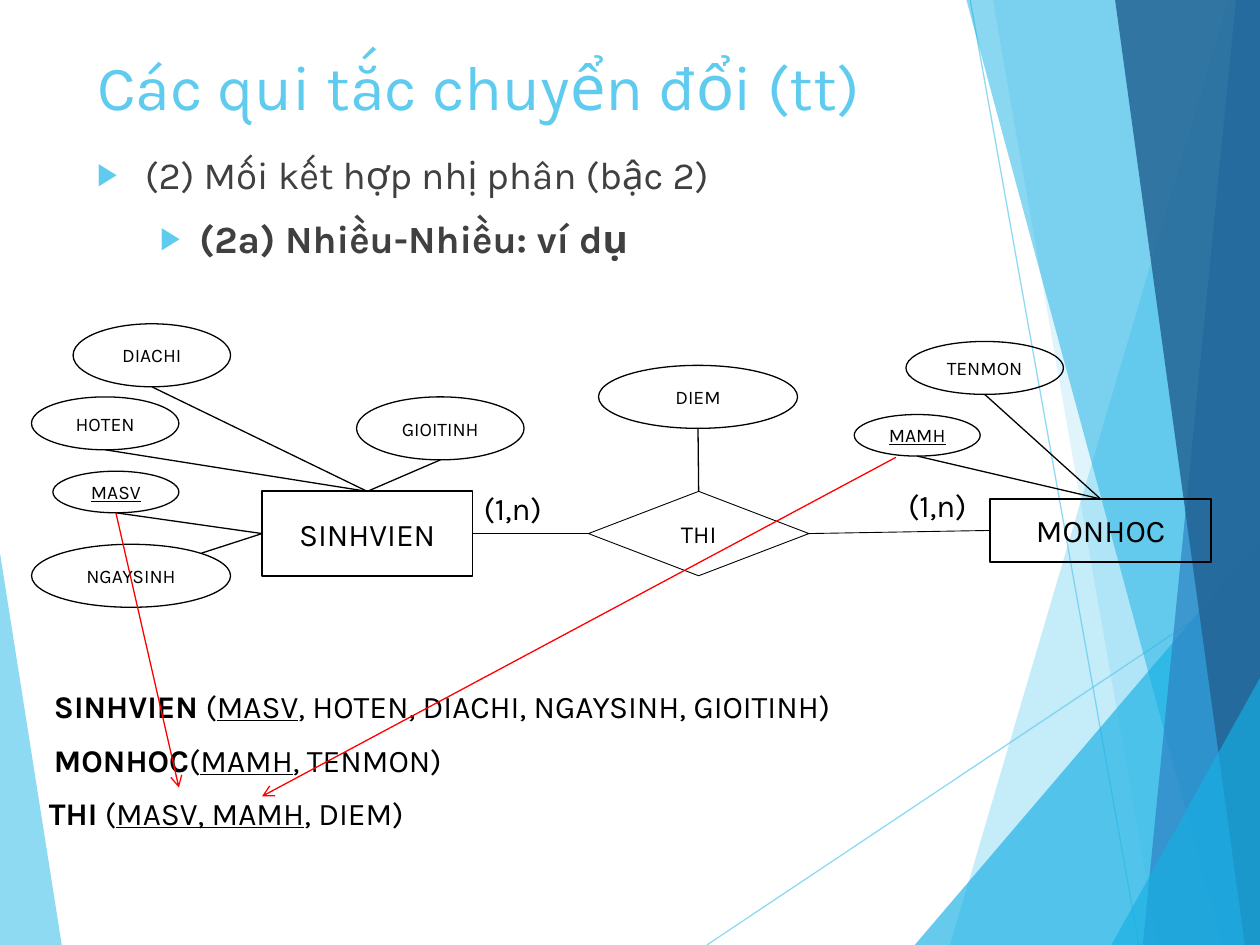
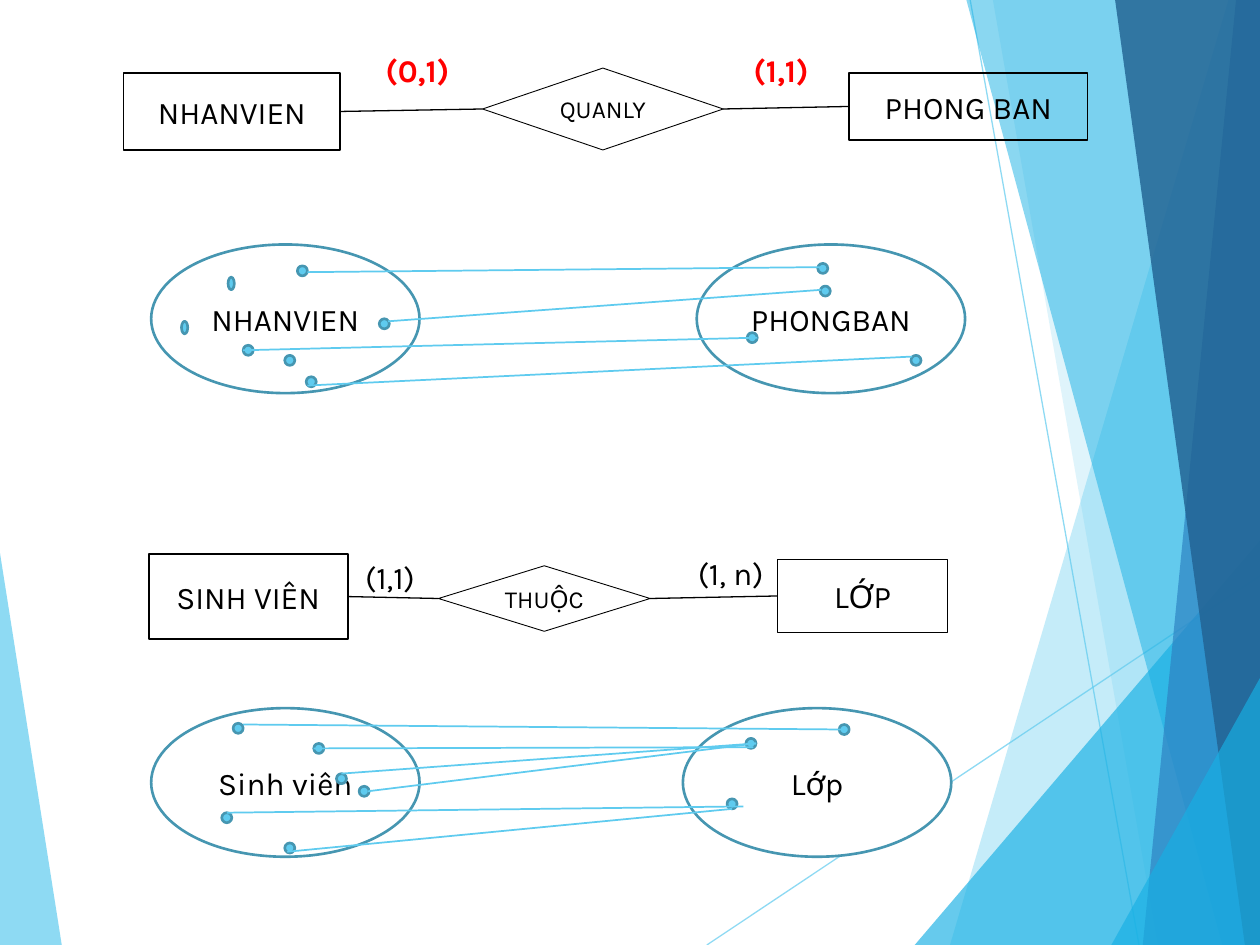
from lxml import etree
from pptx import Presentation
from pptx.dml.color import RGBColor
from pptx.enum.shapes import MSO_CONNECTOR, MSO_SHAPE
from pptx.enum.text import MSO_ANCHOR, MSO_AUTO_SIZE, PP_ALIGN
from pptx.oxml.ns import qn
from pptx.util import Inches, Pt

FONT = "Karla"
SKY = RGBColor(0x5F, 0xCB, 0xEF)
CYAN = RGBColor(0x17, 0xB0, 0xE4)
BLUE = RGBColor(0x2E, 0x83, 0xC3)
NAVY = RGBColor(0x22, 0x62, 0x92)
TEAL = RGBColor(0x46, 0x96, 0xB1)
GREY = RGBColor(0x40, 0x40, 0x40)
BLACK = RGBColor(0, 0, 0)
WHITE = RGBColor(255, 255, 255)
RED = RGBColor(255, 0, 0)
RECT, OVAL, DIAMOND = MSO_SHAPE.RECTANGLE, MSO_SHAPE.OVAL, MSO_SHAPE.DIAMOND
TOP, LEFT, BOTTOM, RIGHT = range(4)


def add_item(slide, kind, box, text="", size=18, width=0.75, fill=None,
             outline=BLACK, color=BLACK, style=""):
    """Add an outlined shape, or a text box when kind is None.

    Text is a string or (string, style) runs; style holds b (bold), u (underlined).
    """
    place = [Inches(v) for v in box]
    if kind is None:
        item = slide.shapes.add_textbox(*place)
    else:
        item = slide.shapes.add_shape(kind, *place)
        item.shadow.inherit = False
        item.line.color.rgb = outline
        item.line.width = Pt(width)
        if fill is None:
            item.fill.background()
        else:
            item.fill.solid()
            item.fill.fore_color.rgb = fill
    if text:
        frame = item.text_frame
        frame.word_wrap = kind is None
        para = frame.paragraphs[0]
        if kind is not None:
            frame.vertical_anchor = MSO_ANCHOR.MIDDLE
            para.alignment = PP_ALIGN.CENTER
        for words, run_style in [(text, style)] if isinstance(text, str) else text:
            run = para.add_run()
            run.text = words
            run.font.name, run.font.size = FONT, Pt(size)
            run.font.color.rgb = color
            run.font.bold = "b" in run_style
            run.font.underline = "u" in run_style
    return item


def add_link(slide, start, end, color=BLACK, width=0.75, arrow=False):
    """Join two ends, each an (x, y) point or a (shape, side) pair."""
    points = [(0, 0) if hasattr(e[0], "shape_id") else e for e in (start, end)]
    link = slide.shapes.add_connector(
        MSO_CONNECTOR.STRAIGHT, *[Inches(v) for point in points for v in point])
    if hasattr(start[0], "shape_id"):
        link.begin_connect(*start)
    if hasattr(end[0], "shape_id"):
        link.end_connect(*end)
    link.line.color.rgb = color
    link.line.width = Pt(width)
    props = link._element.spPr
    if arrow:
        etree.SubElement(props.find(qn("a:ln")), qn("a:tailEnd"), type="arrow")
    etree.SubElement(props, qn("a:effectLst"))
    return link


prs = Presentation()
prs.slide_width, prs.slide_height = Inches(10), Inches(7.5)
rules = prs.slides.add_slide(prs.slide_layouts[1])
examples = prs.slides.add_slide(prs.slide_layouts[6])

# Shared backdrop: facets and thin lines, moved to the slide master
facets = [
    (SKY, 70, [(0, 4.39), (0.49, 7.5), (0, 7.5)]),
    (SKY, 36, [(9.75, 0), (7.54, 7.5), (10, 7.5), (10, 0)]),
    (SKY, 20, [(7.88, 0), (9.19, 7.5), (10, 7.5), (10, 0)]),
    (CYAN, 66, [(7.26, 7.5), (10, 4.29), (10, 7.5)]),
    (CYAN, 50, [(7.67, 0), (9.7, 7.5), (10, 7.5), (10, 0)]),
    (BLUE, 70, [(9.81, 0), (9.07, 7.5), (10, 7.5), (10, 0)]),
    (NAVY, 82, [(8.85, 0), (9.88, 7.5), (10, 7.5), (10, 0)]),
    (CYAN, 66, [(8.82, 7.5), (10, 5.38), (10, 7.5)]),
]
backdrop = []
for color, opacity, corners in facets:
    corners = [(Inches(x), Inches(y)) for x, y in corners]
    outline = rules.shapes.build_freeform(*corners[0])
    outline.add_line_segments(corners[1:], close=True)
    facet = outline.convert_to_shape()
    facet.shadow.inherit = False
    facet.fill.solid()
    facet.fill.fore_color.rgb = color
    facet.line.fill.background()
    backdrop.append((facet, opacity))
thin_lines = [add_link(rules, (5.61, 7.5), (10, 4.57), SKY),
              add_link(rules, (7.7, 0), (9.04, 7.5), SKY)]
backdrop[1:1] = [(line, 70) for line in thin_lines]

master_tree = prs.slide_master.shapes._spTree
for order, (part, opacity) in enumerate(backdrop):
    element = part._element
    tint = element.spPr.find(".//" + qn("a:srgbClr"))
    etree.SubElement(tint, qn("a:alpha"), val=str(opacity * 1000))
    element.find(".//" + qn("p:cNvPr")).set("id", str(100 + order))
    master_tree.insert(2 + order, element)

# Slide 1: title and list
title, body = rules.shapes.title, rules.placeholders[1]
for holder, (top, height) in ((title, (0.26, 0.84)), (body, (1.15, 4.24))):
    holder.left, holder.top = Inches(0.67), Inches(top)
    holder.width, holder.height = Inches(6.94), Inches(height)
    holder.text_frame.auto_size = MSO_AUTO_SIZE.NONE
title.text_frame.text = "Các qui tắc chuyển đổi (tt)"
heading = title.text_frame.paragraphs[0]
heading.alignment = PP_ALIGN.LEFT
heading.runs[0].font.name, heading.runs[0].font.size = FONT, Pt(36)
heading.runs[0].font.color.rgb = SKY

body.text_frame.text = "(2) Mối kết hợp nhị phân (bậc 2)\n(2a) Nhiều-Nhiều: ví dụ"
for level, (para, (margin, hanging)) in enumerate(
        zip(body.text_frame.paragraphs, [(0.38, 0.38), (0.81, 0.31)])):
    para.level = level
    para.space_before = Pt(10 * level)
    props = para._p.get_or_add_pPr()
    props.set("marL", str(Inches(margin)))
    props.set("indent", str(-Inches(hanging)))
    bullet_color = etree.SubElement(props, qn("a:buClr"))
    etree.SubElement(bullet_color, qn("a:srgbClr"), val=str(SKY))
    etree.SubElement(props, qn("a:buSzPct"), val="80000")
    etree.SubElement(props, qn("a:buChar"), char="▶")
    font = para.runs[0].font
    font.name, font.size, font.bold = FONT, Pt(22), level == 1
    font.color.rgb = GREY

# Slide 1: entities, relationship and attributes
monhoc = add_item(rules, RECT, (7.86, 3.96, 1.75, 0.5), "MONHOC", width=1)
sinhvien = add_item(rules, RECT, (2.08, 3.9, 1.67, 0.67), "SINHVIEN", width=1)
thi = add_item(rules, DIAMOND, (4.67, 3.9, 1.75, 0.67), "THI", 14, 0.5)
attributes = [
    ("MAMH", (6.78, 3.29, 1, 0.33), "u", monhoc, TOP),
    ("TENMON", (7.19, 2.71, 1.25, 0.42), "", monhoc, TOP),
    ("MASV", (0.42, 3.74, 1, 0.33), "u", sinhvien, LEFT),
    ("HOTEN", (0.25, 3.15, 1.17, 0.42), "", sinhvien, TOP),
    ("DIACHI", (0.58, 2.57, 1.25, 0.5), "", sinhvien, TOP),
    ("GIOITINH", (2.83, 3.15, 1.33, 0.5), "", sinhvien, TOP),
    ("DIEM", (4.75, 2.9, 1.58, 0.5), "", thi, TOP),
]
for name, box, style, owner, side in attributes:
    add_item(rules, OVAL, box, name, 11, style=style)
    x, y, w, h = box
    add_link(rules, (x + w / 2, y + h), (owner, side))
add_item(rules, OVAL, (0.25, 4.32, 1.58, 0.5), "NGAYSINH", 11)
add_link(rules, (sinhvien, LEFT), (1.6, 4.39))
add_link(rules, (thi, RIGHT), (monhoc, LEFT), width=0.5)
add_link(rules, (thi, LEFT), (sinhvien, RIGHT), width=0.5)
add_item(rules, None, (3.74, 3.83, 0.83, 0.4), "(1,n)")
add_item(rules, None, (7.11, 3.81, 0.69, 0.4), "(1,n)")

# Slide 1: resulting relations, with arrows from the keys
relations = [
    ((0.33, 5.4, 7.05, 0.4), [("SINHVIEN", "b"), (" (", ""), ("MASV", "u"),
                              (", HOTEN, DIACHI, NGAYSINH, GIOITINH)", "")]),
    ((0.33, 5.83, 3.43, 0.4), [("MONHOC", "b"), ("(", ""), ("MAMH", "u"),
                               (", TENMON)", "")]),
    ((0.29, 6.25, 3.2, 0.4), [("THI", "b"), (" (", ""), ("MASV, MAMH", "u"),
                              (", DIEM)", "")]),
]
for box, runs in relations:
    add_item(rules, None, box, runs)
for key, target in (((0.92, 4.07), (1.42, 6.25)), ((7.11, 3.63), (2.08, 6.32))):
    add_link(rules, key, target, RED, arrow=True)

# Slide 2: two relationships, each entity - diamond - entity
relationships = [
    (("NHANVIEN", (0.98, 0.58, 1.72, 0.61)), ("QUANLY", (3.83, 0.54, 1.91, 0.65)),
     ("PHONG BAN", (6.74, 0.58, 1.89, 0.53)), RED, "b",
     [("(0,1)", (2.96, 0.36, 0.77, 0.4)), ("(1,1)", (5.88, 0.36, 0.78, 0.4))]),
    (("SINH VIÊN", (1.18, 4.4, 1.58, 0.67)), ("THUỘC", (3.48, 4.49, 1.68, 0.52)),
     ("LỚP", (6.17, 4.44, 1.35, 0.58)), BLACK, "",
     [("(1,1)", (2.8, 4.38, 0.93, 0.4)), ("(1, n)", (5.44, 4.35, 0.83, 0.4))]),
]
for first, relation, second, color, style, cardinalities in relationships:
    left_entity = add_item(examples, RECT, first[1], first[0], width=1)
    diamond = add_item(examples, DIAMOND, relation[1], relation[0], 14, 0.5)
    right_entity = add_item(examples, RECT, second[1], second[0], width=1)
    add_link(examples, (left_entity, RIGHT), (diamond, LEFT))
    add_link(examples, (diamond, RIGHT), (right_entity, LEFT))
    for text, box in cardinalities:
        add_item(examples, None, box, text, color=color, style=style)

# Slide 2: sets of members and the pairs between them
DOT, SLIM_DOT = (0.08, 0.08), (0.05, 0.1)
mappings = [
    (1.94, ("NHANVIEN", 1.2), ("PHONGBAN", 5.53),
     [(2.36, 2.11), (2.26, 2.82), (1.93, 2.74), (3.01, 2.53), (6.49, 2.09),
      (2.43, 2.99), (5.93, 2.64), (7.23, 2.82), (6.51, 2.27)],
     [(1.44, 2.55), (1.81, 2.2)],
     [((3.08, 2.55), (6.52, 2.3)), ((2.44, 2.16), (6.55, 2.12)),
      ((6.01, 2.68), (1.93, 2.78)), ((2.44, 3.06), (7.24, 2.83))]),
    (5.62, ("Sinh viên", 1.2), ("Lớp", 5.42),
     [(1.85, 5.74), (2.67, 6.14), (1.76, 6.45), (2.49, 5.9), (2.85, 6.24),
      (5.92, 5.86), (2.26, 6.69), (5.77, 6.34), (6.66, 5.75)],
     [],
     [((2.49, 5.94), (5.98, 5.93)), ((2.92, 6.28), (6, 5.9)),
      ((2.71, 6.14), (6, 5.9)), ((5.9, 6.4), (1.8, 6.45)),
      ((2.28, 6.76), (5.81, 6.42)), ((1.93, 5.75), (6.7, 5.79))]),
]
for top, source_set, target_set, dots, slim_dots, pairs in mappings:
    for name, left in (source_set, target_set):
        add_item(examples, OVAL, (left, top, 2.13, 1.18), name,
                 width=1.5, fill=WHITE, outline=TEAL)
    for spots, dot_size in ((dots, DOT), (slim_dots, SLIM_DOT)):
        for spot in spots:
            add_item(examples, OVAL, spot + dot_size, width=1.5, fill=SKY, outline=TEAL)
    for start, end in pairs:
        add_link(examples, start, end, SKY, 1)

prs.save("out.pptx")
